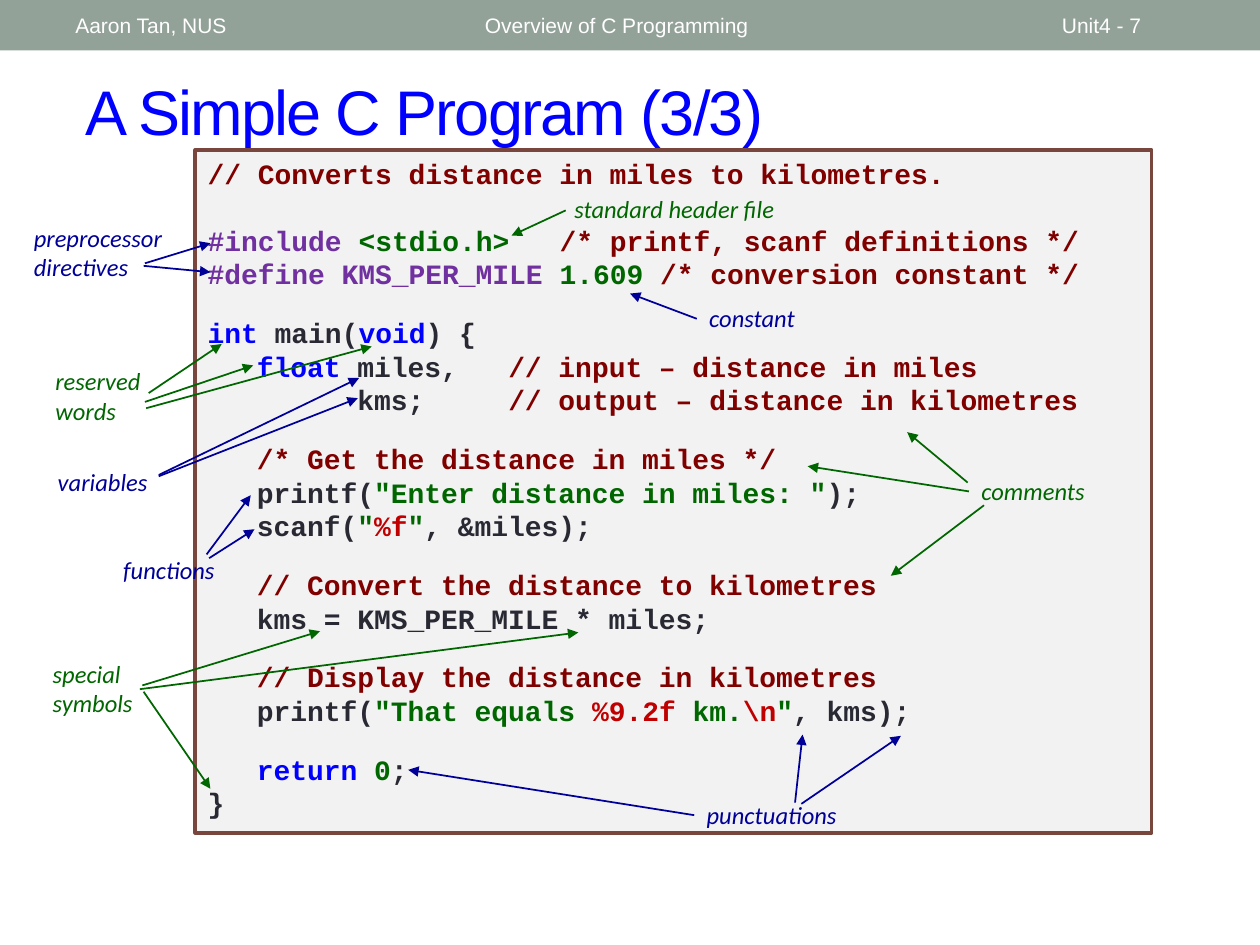
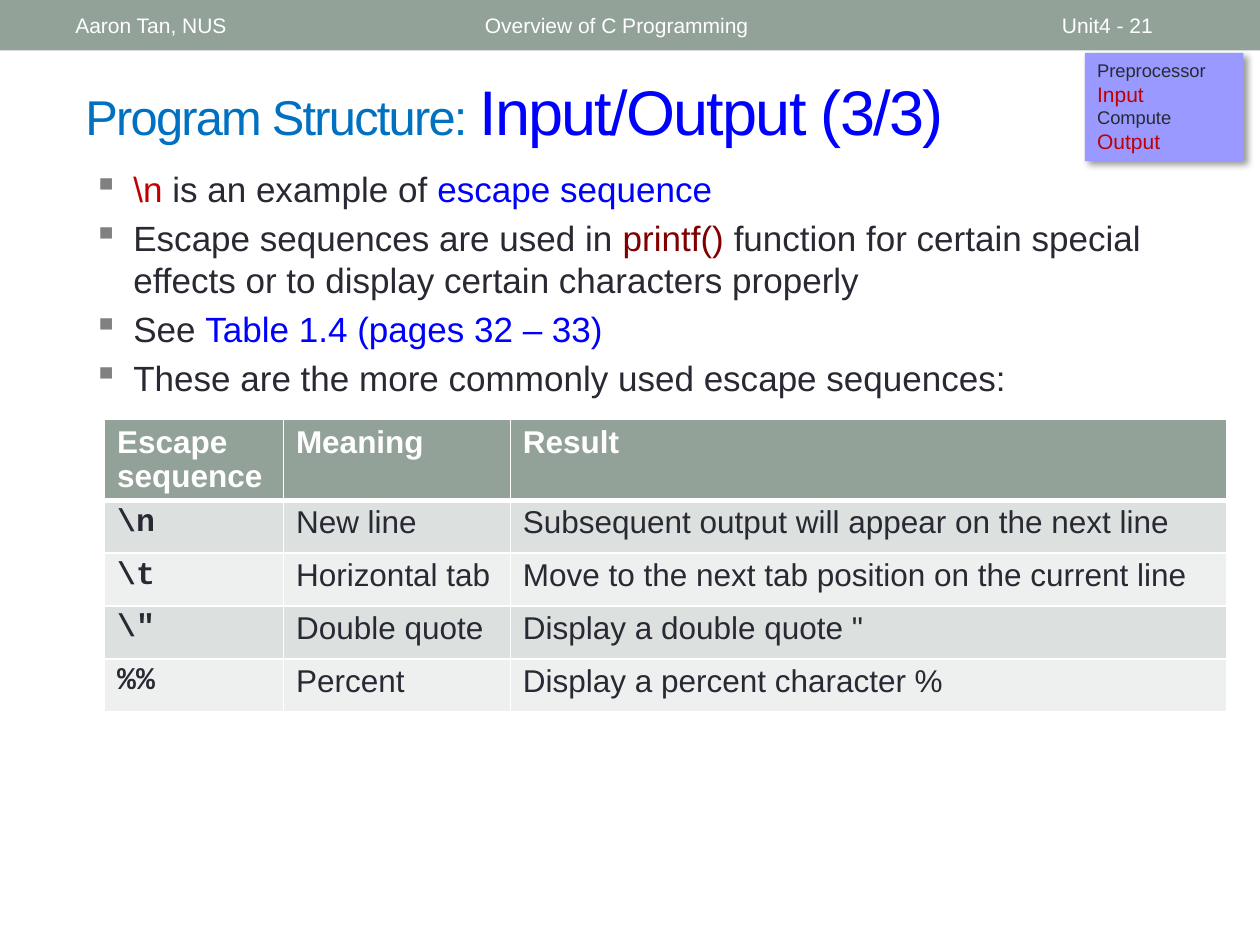
"""Build two lecture slides on C programming: an annotated program and escape sequences."""
import dataclasses

import pptx
import pptx.dml.color
import pptx.enum.shapes
import pptx.enum.text
import pptx.oxml
import pptx.oxml.ns
import pptx.util

EMU_PER_PX = 9144
RECTANGLE = pptx.enum.shapes.MSO_SHAPE.RECTANGLE
STRAIGHT = pptx.enum.shapes.MSO_CONNECTOR.STRAIGHT
MIDDLE = pptx.enum.text.MSO_ANCHOR.MIDDLE
NAMESPACE = pptx.oxml.ns.nsdecls("a")


@dataclasses.dataclass(frozen=True)
class Theme:
    """Colours, fonts and type sizes shared by the slides."""
    white: str = "FFFFFF"
    ink: str = "292934"
    band: str = "93A299"
    blue: str = "0000FF"
    topic: str = "0070C0"
    navy: str = "000099"
    green: str = "006600"
    maroon: str = "800000"
    red: str = "C00000"
    purple: str = "7030A0"
    bullet: str = "808080"
    code_fill: str = "F2F2F2"
    code_line: str = "79463D"
    legend_fill: str = "9999FF"
    row_fills: tuple = ("EEF0EF", "DCE0DE")
    sans: str = "Arial"
    label_font: str = "Calibri"
    mono: str = "Courier New"
    title_size: float = 36
    topic_size: float = 27.9
    body_size: float = 20
    table_size: float = 18
    code_size: float = 16
    label_size: float = 14
    header_size: float = 12
    legend_size: float = 10.5
    line_factor: float = 1.2
    table_line_factor: float = 1.08


THEME = Theme()


@dataclasses.dataclass
class Line:
    """A paragraph: runs of (text, colour[, size]) and the gap above in points."""
    runs: list
    gap: float = 0


SMALL_GAP = 14.4
LARGE_GAP = 19.2
INK, BLUE, GREEN, MAROON, RED, PURPLE = (
    THEME.ink, THEME.blue, THEME.green, THEME.maroon, THEME.red, THEME.purple)

CODE = [
    Line([("// Converts distance in miles to kilometres.", MAROON)]),
    Line([("#include ", PURPLE), ("<stdio.h>   ", GREEN),
          ("/* printf, scanf definitions */", MAROON)], LARGE_GAP),
    Line([("#define KMS_PER_MILE ", PURPLE), ("1.609 ", GREEN),
          ("/* conversion constant */", MAROON)]),
    Line([("int", BLUE), (" main(", INK), ("void", BLUE), (") {", INK)], SMALL_GAP),
    Line([("\tfloat", BLUE), (" miles,   ", INK), ("// input – distance in miles", MAROON)]),
    Line([("\t      kms;     ", INK), ("// output – distance in kilometres", MAROON)]),
    Line([("\t/* Get the distance in miles */", MAROON)], SMALL_GAP),
    Line([("\tprintf(", INK), ('"Enter distance in miles: "', GREEN), (");", INK)]),
    Line([("\tscanf(", INK), ('"', GREEN), ("%f", RED), ('"', GREEN), (", &miles);", INK)]),
    Line([("\t// Convert the distance to kilometres", MAROON)], SMALL_GAP),
    Line([("\tkms = KMS_PER_MILE * miles;", INK)]),
    Line([("\t// Display the distance in kilometres", MAROON)], SMALL_GAP),
    Line([("\tprintf(", INK), ('"That equals ', GREEN), ("%9.2f ", RED), ("km.", GREEN),
          ("\\n", RED), ('"', GREEN), (", kms);", INK)]),
    Line([("\treturn ", BLUE), ("0", GREEN), (";", INK)], SMALL_GAP),
    Line([("}", INK)]),
]

CALLOUTS = [
    ("preprocessor directives", THEME.navy, (17, 172, 134, 57),
     [(115, 209, 167, 193), (114, 211, 167, 216)]),
    ("standard header file", GREEN, (446, 149, 191, 35), [(449, 167, 406, 187)]),
    ("comments", GREEN, (769, 373, 108, 34),
     [(768, 383, 720, 343), (769, 390, 641, 370), (781, 401, 707, 457)]),
    ("constant", THEME.navy, (553, 236, 108, 34), [(553, 253, 500, 233)]),
    ("reserved words", GREEN, (34, 286, 108, 57),
     [(118, 312, 176, 273), (116, 324, 295, 275), (115, 319, 201, 290)]),
    ("variables", THEME.navy, (36, 366, 108, 34),
     [(126, 377, 285, 300), (126, 378, 284, 316)]),
    ("functions", THEME.navy, (88, 436, 103, 34),
     [(164, 440, 199, 393), (166, 443, 202, 420)]),
    ("special symbols", GREEN, (32, 518, 97, 57),
     [(113, 544, 254, 501), (111, 547, 459, 502), (114, 549, 167, 626)]),
    ("punctuations", THEME.navy, (551, 630, 135, 34),
     [(636, 638, 715, 584), (631, 637, 637, 583), (551, 647, 324, 611)]),
]

BULLETS = [
    Line([("\\n ", RED), ("is an example of ", INK), ("escape sequence", BLUE)]),
    Line([("Escape sequences are used in ", INK), ("printf() ", MAROON),
          ("function for certain special effects or to display certain "
           "characters properly", INK)], 4),
    Line([("See ", INK), ("Table 1.4 (pages 32 – 33)", BLUE)], 4),
    Line([("These are the more commonly used escape sequences:", INK)], 4),
]

ESCAPES = [
    ("Escape sequence", "Meaning", "Result"),
    ("\\n", "New line", "Subsequent output will appear on the next line"),
    ("\\t", "Horizontal tab", "Move to the next tab position on the current line"),
    ('\\"', "Double quote", 'Display a double quote "'),
    ("%%", "Percent", "Display a percent character %"),
]

LEGEND = [
    Line([("Preprocessor", INK)]),
    Line([("Input", RED, THEME.header_size)]),
    Line([("Compute", INK)]),
    Line([("Output", RED, THEME.header_size)]),
]


def px(*lengths):
    """Turn px lengths into EMU."""
    return [pptx.util.Emu(length * EMU_PER_PX) for length in lengths]


def rgb(colour):
    """Turn a hex string into a colour."""
    return pptx.dml.color.RGBColor.from_string(colour)


def apply_format(target, values):
    """Set each named attribute of the target."""
    for name, value in values.items():
        setattr(target, name, value)


def add_xml(parent, markup):
    """Append one drawing element to a parent element."""
    parent.append(pptx.oxml.parse_xml(markup.replace(">", f" {NAMESPACE}>", 1)))


def write_lines(frame, lines, size, font, line_factor=THEME.line_factor,
                paragraph_xml=(), indent=0, spacing=0):
    """Fill a text frame with formatted lines."""
    frame.word_wrap = True
    for number, line in enumerate(lines):
        paragraph = frame.add_paragraph() if number else frame.paragraphs[0]
        properties = paragraph._p.get_or_add_pPr()
        if indent:
            left = px(indent)[0]
            properties.set("marL", str(left))
            properties.set("indent", str(-left))
        for markup in paragraph_xml:
            add_xml(properties, markup)
        sizes = [run[2] if len(run) > 2 else size for run in line.runs]
        paragraph.line_spacing = pptx.util.Pt(max(sizes) * line_factor)
        paragraph.space_before = pptx.util.Pt(line.gap)
        for (text, colour, *_), run_size in zip(line.runs, sizes):
            run = paragraph.add_run()
            run.text = text
            apply_format(run.font, {"size": pptx.util.Pt(run_size), **font})
            run.font.color.rgb = rgb(colour)
            if spacing:
                run._r.get_or_add_rPr().set("spc", str(spacing))


def add_text(slide, box, lines, size, font, anchor=None, **options):
    """Add a text box."""
    shape = slide.shapes.add_textbox(*px(*box))
    shape.text_frame.vertical_anchor = anchor
    write_lines(shape.text_frame, lines, size, font, **options)
    return shape


def add_panel(slide, box, fill, line=None):
    """Add a filled rectangle with an optional outline."""
    shape = slide.shapes.add_shape(RECTANGLE, *px(*box))
    shape.shadow.inherit = False
    shape.fill.solid()
    shape.fill.fore_color.rgb = rgb(fill)
    if line:
        shape.line.color.rgb = rgb(line)
        shape.line.width = pptx.util.Pt(2.08)
    else:
        shape.line.fill.background()
    shape.text_frame.vertical_anchor = pptx.enum.text.MSO_ANCHOR.TOP
    for paragraph in shape.text_frame.paragraphs:
        paragraph.alignment = pptx.enum.text.PP_ALIGN.LEFT
    return shape


def add_panel_text(shape, lines, size, font, **options):
    """Write left-aligned lines into a panel."""
    write_lines(shape.text_frame, lines, size, font, **options)
    for paragraph in shape.text_frame.paragraphs:
        paragraph.alignment = pptx.enum.text.PP_ALIGN.LEFT


def add_arrow(slide, ends, colour):
    """Add a thin line with a triangle at its end."""
    arrow = slide.shapes.add_connector(STRAIGHT, *px(*ends))
    arrow.line.color.rgb = rgb(colour)
    arrow.line.width = pptx.util.Pt(1)
    add_xml(arrow.line._get_or_add_ln(), '<a:tailEnd type="triangle"></a:tailEnd>')
    add_xml(arrow._element.spPr, "<a:effectLst></a:effectLst>")
    return arrow


def add_callout(slide, text, colour, box, arrows):
    """Add an italic label and the arrows that leave it."""
    label = add_text(slide, box, [Line([(text, colour)])], THEME.label_size,
                     {"name": THEME.label_font, "italic": True})
    left, top, _, height = box
    for ends in arrows:
        arrow = add_arrow(slide, ends, colour)
        if ends[:2] == (left, top + height // 2):
            arrow.begin_connect(label, 1)


def add_table(slide, left, top, widths, heights):
    """Add the table of escape sequences."""
    frame = slide.shapes.add_table(len(heights), len(widths),
                                   *px(left, top, sum(widths), sum(heights)))
    table = frame.table
    table.horz_banding = False
    for column, width in zip(table.columns, px(*widths)):
        column.width = width
    for row, height in zip(table.rows, px(*heights)):
        row.height = height
    for row, texts in enumerate(ESCAPES):
        for column, text in enumerate(texts):
            cell = table.cell(row, column)
            for side in "LRTB":
                thick = (row == 0 and side == "B") or (row == 1 and side == "T")
                add_xml(cell._tc.get_or_add_tcPr(),
                        f'<a:ln{side} w="{38100 if thick else 12700}"><a:solidFill>'
                        f'<a:srgbClr val="{THEME.white}"/></a:solidFill></a:ln{side}>')
            cell.fill.solid()
            cell.fill.fore_color.rgb = rgb(THEME.row_fills[row % 2] if row else THEME.band)
            font = {"name": THEME.mono if row and column == 0 else THEME.sans,
                    "bold": row == 0 or column == 0}
            write_lines(cell.text_frame, [Line([(text, INK if row else THEME.white)])],
                        THEME.table_size, font, THEME.table_line_factor)


def add_base_slide(presentation, page, title_runs):
    """Add a blank slide with the header band and a title."""
    slide = presentation.slides.add_slide(presentation.slide_layouts[6])
    add_panel(slide, (0, 0, 1000, 40), THEME.band)
    add_text(slide, (58, 50, 892, 75), [Line(title_runs)], THEME.title_size,
             {"name": THEME.sans}, MIDDLE, spacing=-100)
    for text, left, width in (("Overview of C Programming", 375, 450),
                              (f"Unit4 - {page}", 833, 117),
                              ("Aaron Tan, NUS", 50, 317)):
        add_text(slide, (left, 2, width, 36), [Line([(text, THEME.white)])],
                 THEME.header_size, {"name": THEME.sans}, MIDDLE)
    return slide


def add_program_slide(presentation):
    """Add the annotated program."""
    slide = add_base_slide(presentation, 7, [("A Simple C Program (3/3)", BLUE)])
    stops = "".join(f'<a:tab pos="{stop}" algn="l"/>' for stop in px(39, 79, 117, 157))
    listing = add_panel(slide, (155, 119, 759, 542), THEME.code_fill, THEME.code_line)
    add_panel_text(listing, CODE, THEME.code_size, {"name": THEME.mono, "bold": True},
                   paragraph_xml=[f"<a:tabLst>{stops}</a:tabLst>"])
    for callout in CALLOUTS:
        add_callout(slide, *callout)


def add_escape_slide(presentation):
    """Add the bullets, table and legend on escape sequences."""
    slide = add_base_slide(presentation, 21, [
        ("Program Structure: ", THEME.topic, THEME.topic_size), ("Input/Output (3/3)", BLUE)])
    bullet_xml = [f'<a:buClr><a:srgbClr val="{THEME.bullet}"/></a:buClr>',
                  '<a:buChar char="▪"></a:buChar>']
    add_text(slide, (64, 128, 900, 206), BULLETS, THEME.body_size, {"name": THEME.sans},
             paragraph_xml=bullet_xml, indent=32)
    add_table(slide, 83, 333, (142, 180, 569), (64, 42, 42, 42, 42))
    legend = add_panel(slide, (861, 42, 126, 86), THEME.legend_fill)
    add_panel_text(legend, LEGEND, THEME.legend_size, {"name": THEME.sans})
    effects = legend._element.spPr.find(pptx.oxml.ns.qn("a:effectLst"))
    add_xml(effects, '<a:outerShdw blurRad="50800" dist="38100" dir="2700000">'
                     '<a:srgbClr val="000000"><a:alpha val="40000"/></a:srgbClr></a:outerShdw>')


def main():
    """Build and save the presentation."""
    presentation = pptx.Presentation()
    presentation.slide_width, presentation.slide_height = px(1000, 750)
    add_program_slide(presentation)
    add_escape_slide(presentation)
    presentation.save("out.pptx")


if __name__ == "__main__":
    main()
